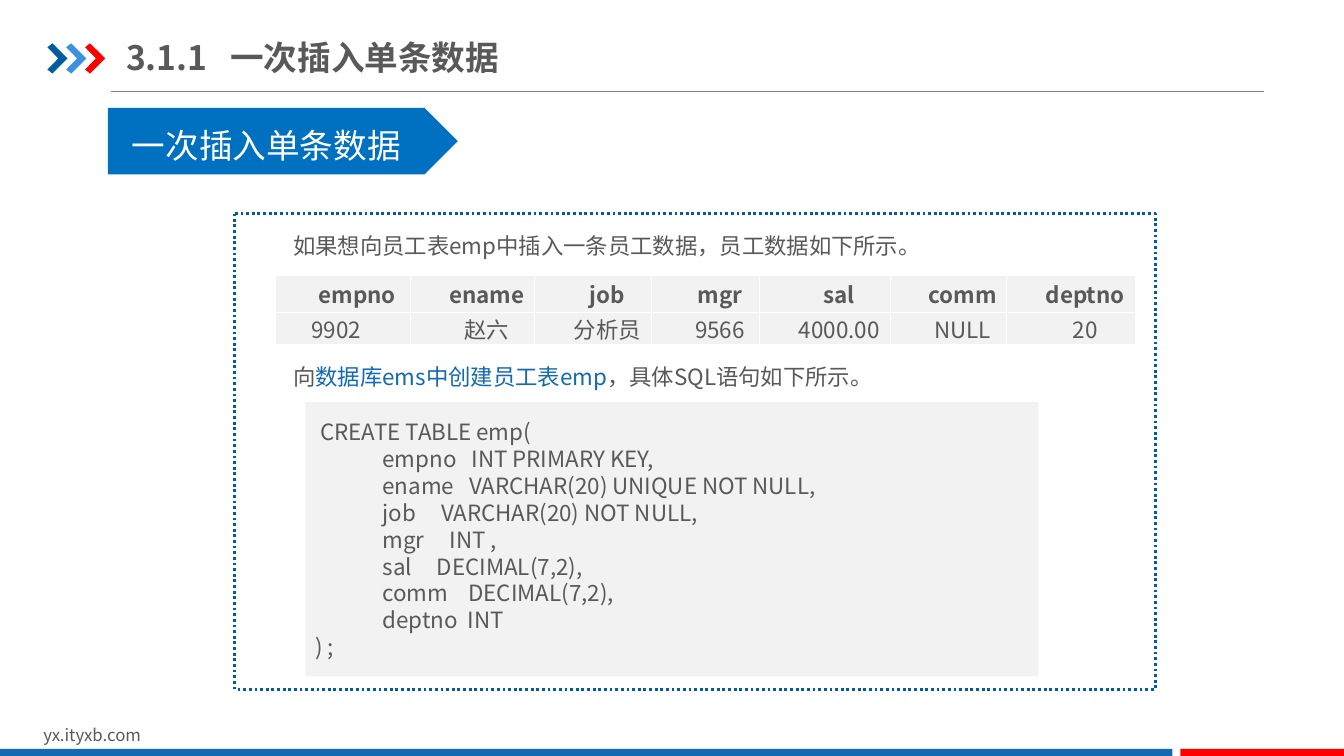
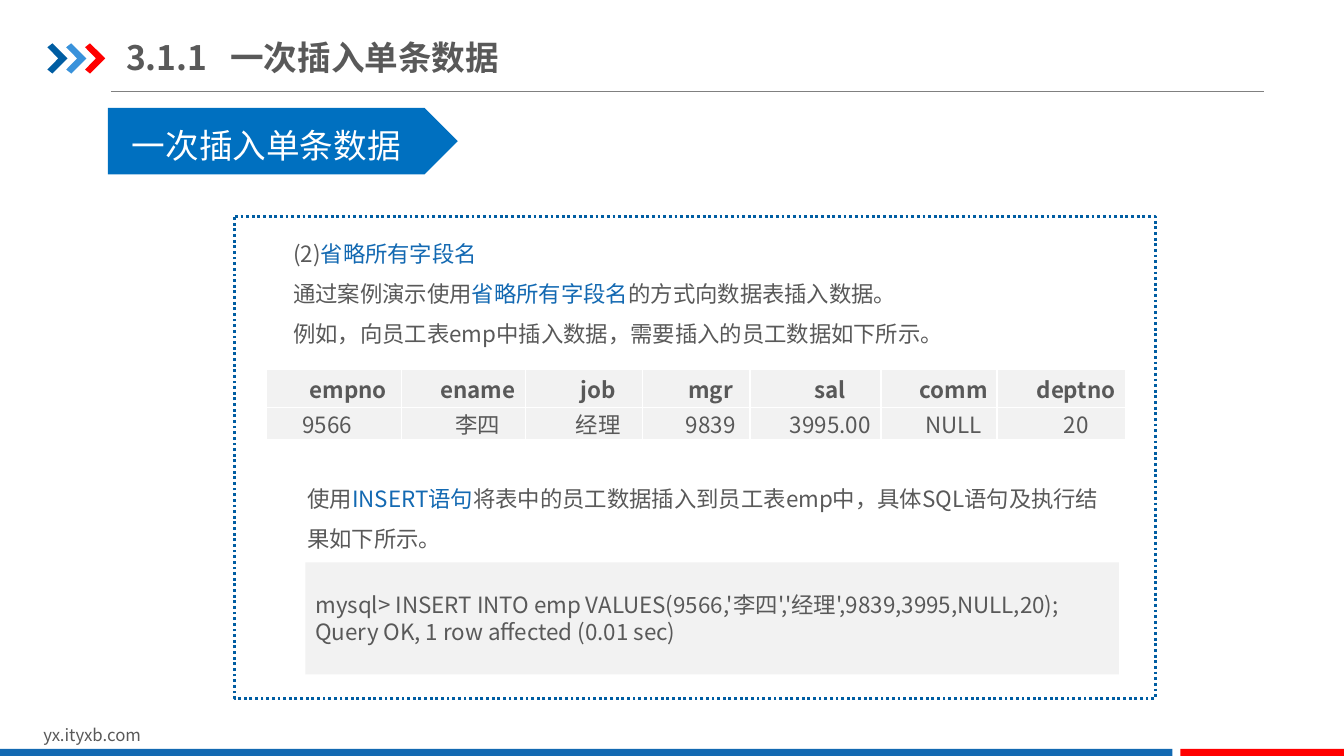
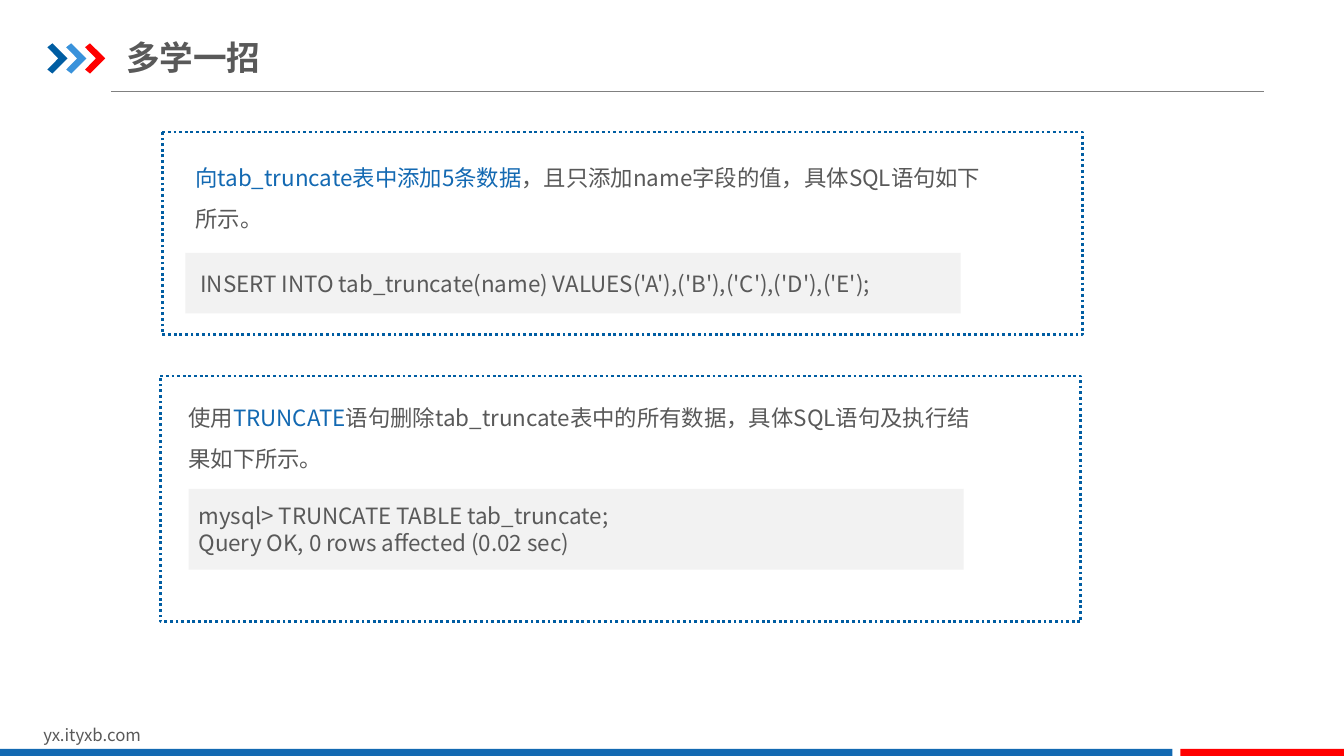
from lxml import etree
from pptx import Presentation
from pptx import util as u
from pptx.dml import color
from pptx.enum import dml, shapes, text
from pptx.oxml import ns

COLOURS = {
    "white": "FFFFFF",
    "body": "595959",
    "accent": "1369B2",
    "navy": "005DA2",
    "sky": "3992DB",
    "red": "FF0000",
    "banner": "0070C0",
    "panel": "F2F2F2",
    "rule": "808080",
}
FONT = "Noto Sans CJK SC"
FORMATS = {
    "title": {"size": u.Pt(24), "bold": True},
    "banner": {"size": u.Pt(24), "bold": False},
    "body": {"size": u.Pt(16), "bold": False},
    "header": {"size": u.Pt(16), "bold": True},
    "footer": {"size": u.Pt(12), "bold": False},
}
CHEVRON = [(0, 0.13), (0.25, 0), (1, 0.5), (0.25, 1), (0, 0.87), (0.54, 0.5)]
COLUMN_SHARES = [10.05, 9.23, 8.7, 8.03, 9.75, 8.63, 9.6]
ROW_SHARES = [4.93, 4.27]
FIELDS = ["empno", "ename", "job", "mgr", "sal", "comm", "deptno"]
FRAME_WIDTH = 68.48
NOTE_WIDTH = 61.58
TIP_WIDTH = 60.45
TIP_CODE_WIDTH = 57.68
INSERT_TITLE = "一次插入单条数据"


def rgb(name):
    return color.RGBColor.from_string(COLOURS[name])


class Deck:
    def __init__(self):
        self.presentation = Presentation()
        self.presentation.slide_width = u.Inches(13.33)
        self.presentation.slide_height = u.Inches(7.5)
        self.slide = None

    def x(self, share):
        return round(self.presentation.slide_width * share / 100)

    def y(self, share):
        return round(self.presentation.slide_height * share / 100)

    def box(self, left, top, width, height):
        return self.x(left), self.y(top), self.x(width), self.y(height)

    def new_slide(self, title):
        layout = self.presentation.slide_layouts[6]
        self.slide = self.presentation.slides.add_slide(layout)
        self.rule(8.25, 94.05, 12.13)
        for index, name in enumerate(["navy", "sky", "red"]):
            self.chevron(3.53 + 1.4 * index, 5.73, 1.5, 4, name)
        self.textbox((2.48, 95.2, 23.85, 4), ["yx.ityxb.com"], "footer")
        self.block((0, 99.07, 87.23, 0.93), "accent")
        self.block((87.83, 99.07, 12.17, 0.93), "red")
        self.title(title)

    def rule(self, left, right, top):
        rule = self.slide.shapes.add_connector(
            shapes.MSO_CONNECTOR.STRAIGHT,
            self.x(left), self.y(top), self.x(right), self.y(top))
        rule.line.color.rgb = rgb("rule")
        rule.line.width = u.Pt(0.75)
        etree.SubElement(rule._element.spPr, ns.qn("a:effectLst"))

    def chevron(self, left, top, width, height, fill):
        points = [(self.x(left + width * across), self.y(top + height * down))
                  for across, down in CHEVRON]
        builder = self.slide.shapes.build_freeform(*points[0])
        builder.add_line_segments(points[1:], close=True)
        self.paint(builder.convert_to_shape(), fill)

    def paint(self, shape, fill):
        shape.shadow.inherit = False
        shape.fill.solid()
        shape.fill.fore_color.rgb = rgb(fill)
        shape.line.fill.background()

    def block(self, place, fill, kind=shapes.MSO_SHAPE.RECTANGLE):
        shape = self.slide.shapes.add_shape(kind, *self.box(*place))
        self.paint(shape, fill)
        return shape

    def frame(self, left, top, height):
        frame = self.block((left, top, FRAME_WIDTH, height), "white",
                           shapes.MSO_SHAPE.FLOWCHART_PROCESS)
        frame.line.color.rgb = rgb("navy")
        frame.line.width = u.Pt(2)
        frame.line.dash_style = dml.MSO_LINE.ROUND_DOT

    def add_runs(self, paragraph, content, style, colour="body"):
        for index, part in enumerate(content.split("*")):
            if not part:
                continue
            run = paragraph.add_run()
            run.text = part
            for name, value in FORMATS[style].items():
                setattr(run.font, name, value)
            run.font.color.rgb = rgb("accent" if index % 2 else colour)
            run.font.name = FONT
            east_asian = etree.SubElement(run.font._element, ns.qn("a:ea"))
            east_asian.set("typeface", FONT)

    def fill_text(self, frame, lines, style, colour="body", spacing=None):
        frame.word_wrap = True
        for index, line in enumerate(lines):
            paragraph = frame.add_paragraph() if index else frame.paragraphs[0]
            paragraph.alignment = text.PP_ALIGN.LEFT
            paragraph.line_spacing = spacing
            self.add_runs(paragraph, line, style, colour)

    def textbox(self, place, lines, style, colour="body", spacing=None):
        box = self.slide.shapes.add_textbox(*self.box(*place))
        self.fill_text(box.text_frame, lines, style, colour, spacing)
        return box.text_frame

    def title(self, content):
        frame = self.textbox((9.38, 3.87, 31.95, 7.33), [content], "title")
        frame.vertical_anchor = text.MSO_ANCHOR.MIDDLE
        frame.margin_left = frame.margin_right = 0
        if "\t" in content:
            properties = frame.paragraphs[0]._p.get_or_add_pPr()
            stops = etree.SubElement(properties, ns.qn("a:tabLst"))
            stop = etree.SubElement(stops, ns.qn("a:tab"))
            stop.set("pos", str(self.x(7.75)))
            stop.set("algn", "l")

    def banner(self, content):
        self.block((8.03, 14.27, 26.03, 8.8), "banner", shapes.MSO_SHAPE.PENTAGON)
        self.textbox((9.08, 13.2, 24, 9.47), [content], "banner", "white", 1.5)

    def note(self, place, *lines):
        self.textbox(place, lines, "body", spacing=1.5)

    def code(self, place, *lines):
        frame = self.block(place, "panel").text_frame
        frame.vertical_anchor = text.MSO_ANCHOR.MIDDLE
        self.fill_text(frame, [line.lstrip("\t") for line in lines], "body")
        for paragraph, line in zip(frame.paragraphs, lines):
            if line.startswith("\t"):
                paragraph.level = 1
                paragraph._p.get_or_add_pPr().set("marL", str(self.x(5)))

    def table(self, left, top, values):
        rows = [FIELDS, values]
        place = self.box(left, top, sum(COLUMN_SHARES), sum(ROW_SHARES))
        table = self.slide.shapes.add_table(len(rows), len(FIELDS), *place).table
        table.first_row = table.horz_banding = False
        for column, share in zip(table.columns, COLUMN_SHARES):
            column.width = self.x(share)
        for row, share in zip(table.rows, ROW_SHARES):
            row.height = self.y(share)
        for row_index, row in enumerate(rows):
            for column_index, value in enumerate(row):
                cell = table.cell(row_index, column_index)
                self.cell(cell, value, "body" if row_index else "header")
        table.cell(1, 0).text_frame.paragraphs[0].alignment = text.PP_ALIGN.JUSTIFY

    def cell(self, cell, value, style):
        layout = {"margin_left": u.Inches(0.07), "margin_right": u.Inches(0.07),
                  "margin_top": 0, "margin_bottom": 0,
                  "vertical_anchor": text.MSO_ANCHOR.MIDDLE}
        for name, setting in layout.items():
            setattr(cell, name, setting)
        properties = cell._tc.get_or_add_tcPr()
        for side in ["lnL", "lnR", "lnT", "lnB"]:
            border = etree.SubElement(properties, ns.qn(f"a:{side}"))
            border.set("w", str(u.Pt(1)))
            solid = etree.SubElement(border, ns.qn("a:solidFill"))
            etree.SubElement(solid, ns.qn("a:srgbClr")).set("val", COLOURS["white"])
        cell.fill.solid()
        cell.fill.fore_color.rgb = rgb("panel")
        paragraph = cell.text_frame.paragraphs[0]
        paragraph.alignment = text.PP_ALIGN.CENTER
        paragraph._p.get_or_add_pPr().set("indent", str(u.Inches(0.29)))
        self.add_runs(paragraph, value, style)


def create_table_slide(deck):
    deck.new_slide(f"3.1.1\t{INSERT_TITLE}")
    deck.banner(INSERT_TITLE)
    deck.frame(17.48, 28.27, 62.93)
    deck.note((21.08, 28.27, NOTE_WIDTH, 6.67),
              "如果想向员工表emp中插入一条员工数据，员工数据如下所示。")
    deck.table(20.48, 36.4,
               ["9902", "赵六", "分析员", "9566", "4000.00", "NULL", "20"])
    deck.note((21.08, 45.6, NOTE_WIDTH, 6.67),
              "向*数据库ems中创建员工表emp*，具体SQL语句如下所示。")
    deck.code((22.73, 53.2, 54.53, 36.27),
              " CREATE TABLE emp(",
              "\tempno   INT PRIMARY KEY,",
              "\tename   VARCHAR(20) UNIQUE NOT NULL,",
              "\tjob     VARCHAR(20) NOT NULL,",
              "\tmgr     INT ,",
              "\tsal     DECIMAL(7,2),",
              "\tcomm    DECIMAL(7,2),",
              "\tdeptno  INT",
              ") ;")


def insert_row_slide(deck):
    deck.new_slide(f"3.1.1\t{INSERT_TITLE}")
    deck.banner(INSERT_TITLE)
    deck.frame(17.48, 28.67, 63.73)
    deck.note((21.08, 29.33, NOTE_WIDTH, 17.47),
              "(2)*省略所有字段名*",
              "通过案例演示使用*省略所有字段名*的方式向数据表插入数据。",
              "例如，向员工表emp中插入数据，需要插入的员工数据如下所示。")
    deck.table(19.8, 48.93,
               ["9566", "李四", "经理", "9839", "3995.00", "NULL", "20"])
    deck.note((22.13, 61.73, NOTE_WIDTH, 12.13),
              "使用*INSERT语句*将表中的员工数据插入到员工表emp中，"
              "具体SQL语句及执行结果如下所示。")
    deck.code((22.73, 74.4, 60.53, 14.8),
              "mysql> INSERT INTO emp VALUES(9566,'李四','经理',9839,3995,NULL,20);",
              "Query OK, 1 row affected (0.01 sec)")


def truncate_slide(deck):
    deck.new_slide("多学一招")
    deck.frame(12.08, 17.47, 26.8)
    deck.note((13.8, 19.33, TIP_WIDTH, 12.13),
              "*向tab_truncate表中添加5条数据*，且只添加name字段的值，"
              "具体SQL语句如下所示。")
    deck.code((13.8, 33.47, TIP_CODE_WIDTH, 8),
              " INSERT INTO tab_truncate(name) VALUES('A'),('B'),('C'),('D'),('E');")
    deck.frame(11.93, 49.73, 32.53)
    deck.note((13.28, 51.07, TIP_WIDTH, 12.13),
              "使用*TRUNCATE*语句删除tab_truncate表中的所有数据，"
              "具体SQL语句及执行结果如下所示。")
    deck.code((14.03, 64.67, TIP_CODE_WIDTH, 10.67),
              "mysql> TRUNCATE TABLE tab_truncate;",
              "Query OK, 0 rows affected (0.02 sec)")


def main():
    deck = Deck()
    create_table_slide(deck)
    insert_row_slide(deck)
    truncate_slide(deck)
    deck.presentation.save("out.pptx")


if __name__ == "__main__":
    main()
